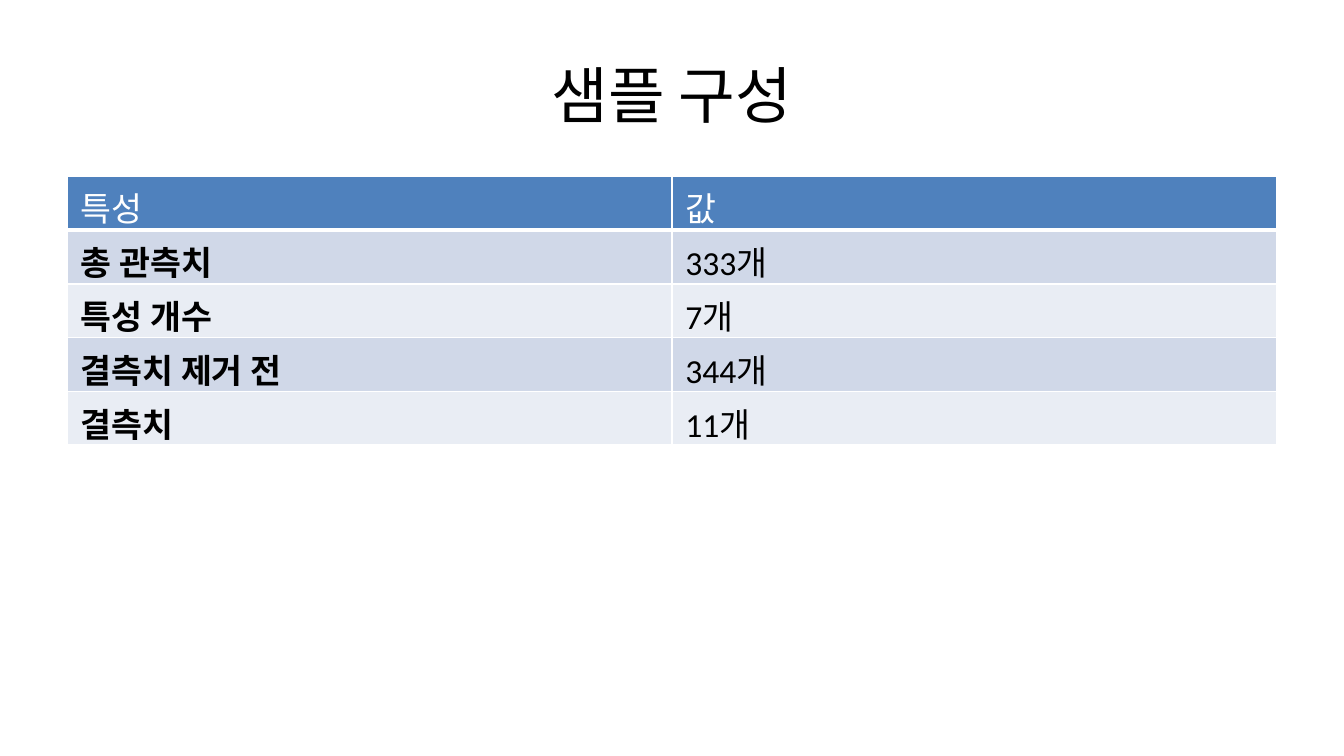
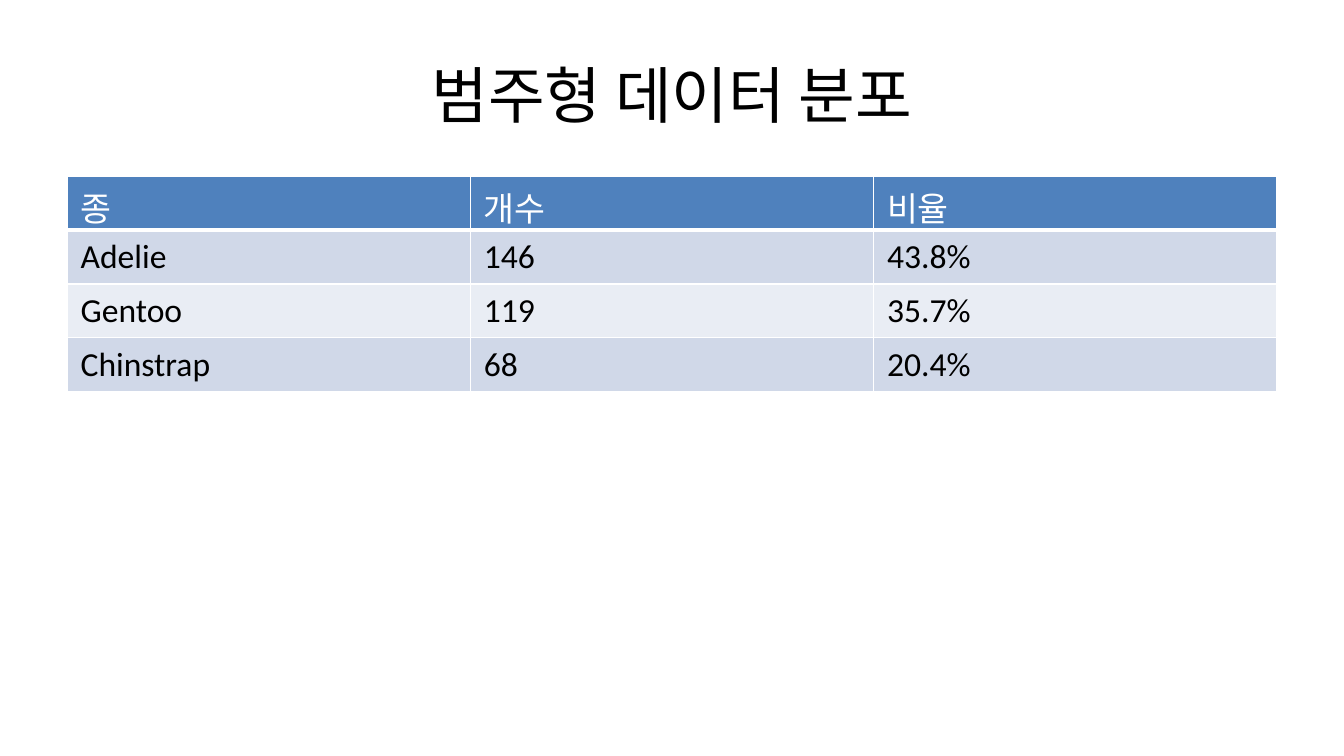
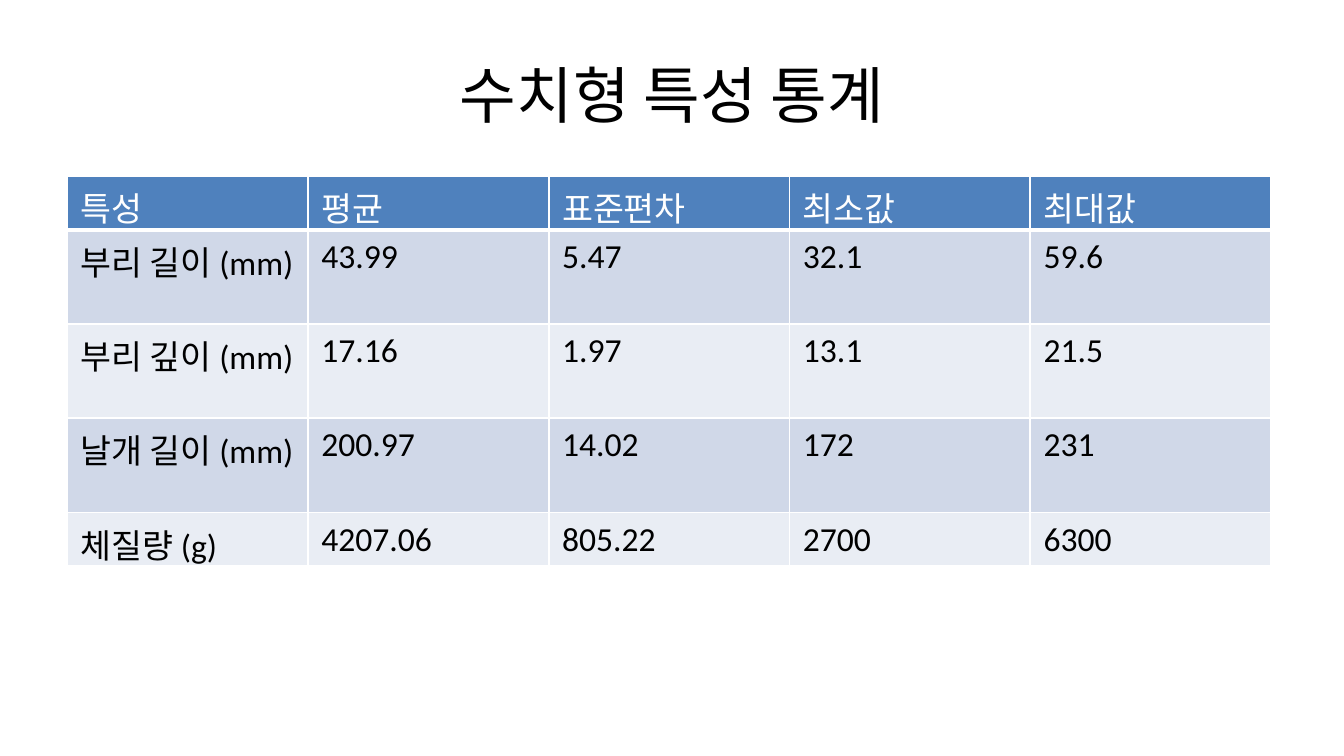
from lxml.etree import SubElement
from pptx import Presentation
from pptx.dml.color import RGBColor
from pptx.enum.text import MSO_ANCHOR, PP_ALIGN
from pptx.oxml.ns import qn
from pptx.util import Cm, Pt

COLORS = {
    "text": "000000",
    "header": "4F81BD",
    "header_text": "FFFFFF",
    "band_dark": "D0D8E8",
    "band_light": "E9EDF4",
    "border": "FFFFFF",
}
FONT = "Calibri"
TITLE_BOX = (1.27, 0.58, 22.86, 2.39)
TABLE_BOX = (1.27, 3.33, 22.86, 9.42)

SLIDES = [
    {
        "title": "샘플 구성",
        "col_width": 11.43,
        "bold_labels": True,
        "rows": [
            ["특성", "값"],
            ["총 관측치", "333개"],
            ["특성 개수", "7개"],
            ["결측치 제거 전", "344개"],
            ["결측치", "11개"],
        ],
    },
    {
        "title": "범주형 데이터 분포",
        "col_width": 7.62,
        "rows": [
            ["종", "개수", "비율"],
            ["Adelie", "146", "43.8%"],
            ["Gentoo", "119", "35.7%"],
            ["Chinstrap", "68", "20.4%"],
        ],
    },
    {
        "title": "수치형 특성 통계",
        "col_width": 4.55,
        "rows": [
            ["특성", "평균", "표준편차", "최소값", "최대값"],
            ["부리 길이 (mm)", "43.99", "5.47", "32.1", "59.6"],
            ["부리 깊이 (mm)", "17.16", "1.97", "13.1", "21.5"],
            ["날개 길이 (mm)", "200.97", "14.02", "172", "231"],
            ["체질량 (g)", "4207.06", "805.22", "2700", "6300"],
        ],
    },
]


def rgb(name):
    return RGBColor.from_string(COLORS[name])


def style_paragraph(p, size, color, bold=False):
    p.font.name = FONT
    p.font.size = Pt(size)
    p.font.bold = bold
    p.font.color.rgb = rgb(color)


def add_title(slide, text, box):
    sp = slide.shapes.add_textbox(*map(Cm, box))
    tf = sp.text_frame
    tf.word_wrap = True
    tf.vertical_anchor = MSO_ANCHOR.MIDDLE
    p = tf.paragraphs[0]
    p.text = text
    p.alignment = PP_ALIGN.CENTER
    style_paragraph(p, 33, "text")


def set_borders(cell, bottom):
    tcPr = cell._tc.get_or_add_tcPr()
    for side, width in (("L", 1), ("R", 1), ("T", 1), ("B", bottom)):
        ln = SubElement(tcPr, qn(f"a:ln{side}"), w=str(Pt(width)))
        fill = SubElement(ln, qn("a:solidFill"))
        SubElement(fill, qn("a:srgbClr"), val=COLORS["border"])


def add_data_table(slide, rows, col_width, box, bold_labels=False):
    frame = slide.shapes.add_table(len(rows), len(rows[0]), *map(Cm, box))
    table = frame.table
    for col in table.columns:
        col.width = Cm(col_width)
    for i, values in enumerate(rows):
        table.rows[i].height = Cm(0)
        is_header = i == 0
        band = "header" if is_header else "band_dark" if i % 2 else "band_light"
        for j, value in enumerate(values):
            cell = table.cell(i, j)
            set_borders(cell, 3 if is_header else 1)
            cell.fill.solid()
            cell.fill.fore_color.rgb = rgb(band)
            cell.text = value
            style_paragraph(
                cell.text_frame.paragraphs[0],
                18,
                "header_text" if is_header else "text",
                bold_labels and j == 0 and not is_header,
            )
    frame.width, frame.height = Cm(box[2]), Cm(box[3])


def add_table_slide(prs, title, **table):
    s = prs.slides.add_slide(prs.slide_layouts[6])
    add_title(s, title, TITLE_BOX)
    add_data_table(s, box=TABLE_BOX, **table)


def main():
    prs = Presentation()
    prs.slide_width, prs.slide_height = Cm(25.4), Cm(14.29)
    for content in SLIDES:
        add_table_slide(prs, **content)
    prs.save("out.pptx")


if __name__ == "__main__":
    main()
